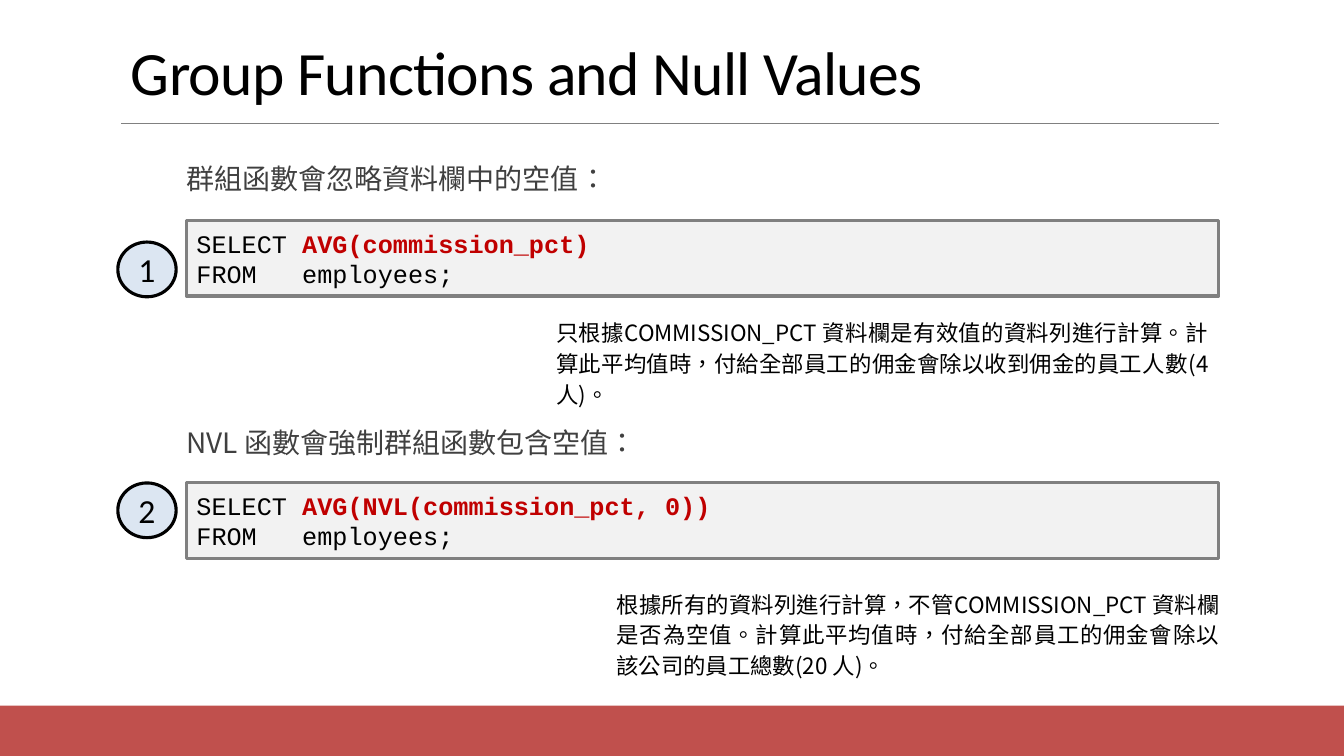
from lxml import etree
from pptx import Presentation
from pptx import util as u
from pptx.dml.color import RGBColor
from pptx.enum import lang, shapes, text
from pptx.oxml.ns import qn

TITLE = "Group Functions and Null Values"
SECTIONS = [
    {
        "number": "1",
        "intro": "群組函數會忽略資料欄中的空值：",
        "call": "AVG(commission_pct)",
        "note": "只根據COMMISSION_PCT 資料欄是有效值的資料列進行計算。"
                "計算此平均值時，付給全部員工的佣金會除以收到佣金的員工人數(4 人)。",
        "intro_top": 4.04, "code_top": 5.56, "badge_top": 6.1,
        "note_box": (13.77, 7.82, 16.94, 2.54),
    },
    {
        "number": "2",
        "intro": "NVL 函數會強制群組函數包含空值：",
        "call": "AVG(NVL(commission_pct, 0))",
        "note": "根據所有的資料列進行計算，不管COMMISSION_PCT 資料欄是否為空值。"
                "計算此平均值時，付給全部員工的佣金會除以該公司的員工總數(20 人)。",
        "intro_top": 10.69, "code_top": 12.17, "badge_top": 12.17,
        "note_box": (15.29, 14.66, 15.7, 2.54),
    },
]

CHINESE = {"name": "Noto Sans CJK SC",
           "language_id": lang.MSO_LANGUAGE_ID.TRADITIONAL_CHINESE}
CODE = {"name": "Courier New", "size": u.Pt(18)}
THEME = {
    "bar": "C0504D", "rule": "808080",
    "code_fill": "F2F2F2", "badge_fill": "DCE6F2", "badge_line": "000000",
    "title": {"name": "Calibri", "size": u.Pt(44), "color": "000000"},
    "intro": {**CHINESE, "size": u.Pt(20), "color": "404040"},
    "note": {**CHINESE, "size": u.Pt(16), "color": "000000"},
    "code": {**CODE, "color": "000000", "bold": False},
    "call": {**CODE, "color": "C00000", "bold": True},
    "badge": {"name": "Calibri", "size": u.Pt(24), "color": "000000"},
}
WIDTH, HEIGHT, BAR_HEIGHT = 33.87, 19.05, 1.27
RULE_LEFT, RULE_RIGHT, RULE_TOP = 3.05, 30.73, 3.12
CODE_LEFT, CODE_WIDTH, CODE_HEIGHT = 4.7, 26.01, 1.9


def apply(target, values):
    for name, value in values.items():
        setattr(target, name, value)


def write(shape, lines, frame_format, paragraph_format):
    frame = shape.text_frame
    apply(frame, {"word_wrap": True, **frame_format})
    for index, line in enumerate(lines):
        paragraph = frame.add_paragraph() if index else frame.paragraphs[0]
        apply(paragraph, {"alignment": text.PP_ALIGN.LEFT, **paragraph_format})
        for words, style in line:
            run = paragraph.add_run()
            run.text = words
            for name, value in THEME[style].items():
                if name == "color":
                    run.font.color.rgb = RGBColor.from_string(value)
                else:
                    setattr(run.font, name, value)
            east_asian = etree.SubElement(run.font._element, qn("a:ea"))
            east_asian.set("typeface", THEME[style]["name"])


def add_text(slide, box, words, style, frame_format, paragraph_format):
    shape = slide.shapes.add_textbox(*map(u.Cm, box))
    write(shape, [[(words, style)]], frame_format, paragraph_format)
    return shape


def add_panel(slide, kind, box, fill, line=None):
    shape = slide.shapes.add_shape(kind, *map(u.Cm, box))
    shape.shadow.inherit = False
    shape.fill.solid()
    shape.fill.fore_color.rgb = RGBColor.from_string(fill)
    if line:
        shape.line.color.rgb = RGBColor.from_string(line)
        shape.line.width = u.Pt(2.25)
    else:
        shape.line.fill.background()
    return shape


def add_frame(slide):
    add_panel(slide, shapes.MSO_SHAPE.RECTANGLE,
              (0, HEIGHT - BAR_HEIGHT, WIDTH, BAR_HEIGHT), THEME["bar"])
    rule = slide.shapes.add_connector(
        shapes.MSO_CONNECTOR.STRAIGHT,
        *map(u.Cm, (RULE_LEFT, RULE_TOP, RULE_RIGHT, RULE_TOP)))
    rule.line.color.rgb = RGBColor.from_string(THEME["rule"])
    rule.line.width = u.Pt(0.5)
    etree.SubElement(rule._element.spPr, qn("a:effectLst"))
    title = add_text(slide, (RULE_LEFT, 0, 27.94, 2.84), TITLE, "title",
                     {"vertical_anchor": text.MSO_ANCHOR.BOTTOM},
                     {"line_spacing": 0.85})
    title.text_frame.paragraphs[0].runs[0].font._element.set("spc", "-50")


def add_section(slide, section):
    add_text(slide, (CODE_LEFT, section["intro_top"], CODE_WIDTH, 1.2),
             section["intro"], "intro", {"margin_left": 0, "margin_right": 0},
             {"line_spacing": 0.9})

    code = add_panel(slide, shapes.MSO_SHAPE.RECTANGLE,
                     (CODE_LEFT, section["code_top"], CODE_WIDTH, CODE_HEIGHT),
                     THEME["code_fill"], THEME["rule"])
    write(code, [[("SELECT ", "code"), (section["call"], "call")],
                 [("FROM   employees;", "code")]],
          {"vertical_anchor": text.MSO_ANCHOR.MIDDLE}, {})

    badge = add_panel(slide, shapes.MSO_SHAPE.OVAL,
                      (2.97, section["badge_top"], 1.47, 1.38),
                      THEME["badge_fill"], THEME["badge_line"])
    write(badge, [[(section["number"], "badge")]],
          {"vertical_anchor": text.MSO_ANCHOR.MIDDLE,
           "margin_left": 0, "margin_right": 0},
          {"alignment": text.PP_ALIGN.CENTER})

    add_text(slide, section["note_box"], section["note"], "note", {},
             {"alignment": text.PP_ALIGN.JUSTIFY, "line_spacing": u.Pt(22)})


def main():
    presentation = Presentation()
    apply(presentation, {"slide_width": u.Cm(WIDTH), "slide_height": u.Cm(HEIGHT)})
    slide = presentation.slides.add_slide(presentation.slide_layouts[6])
    add_frame(slide)
    for section in SECTIONS:
        add_section(slide, section)
    presentation.save("out.pptx")


if __name__ == "__main__":
    main()
